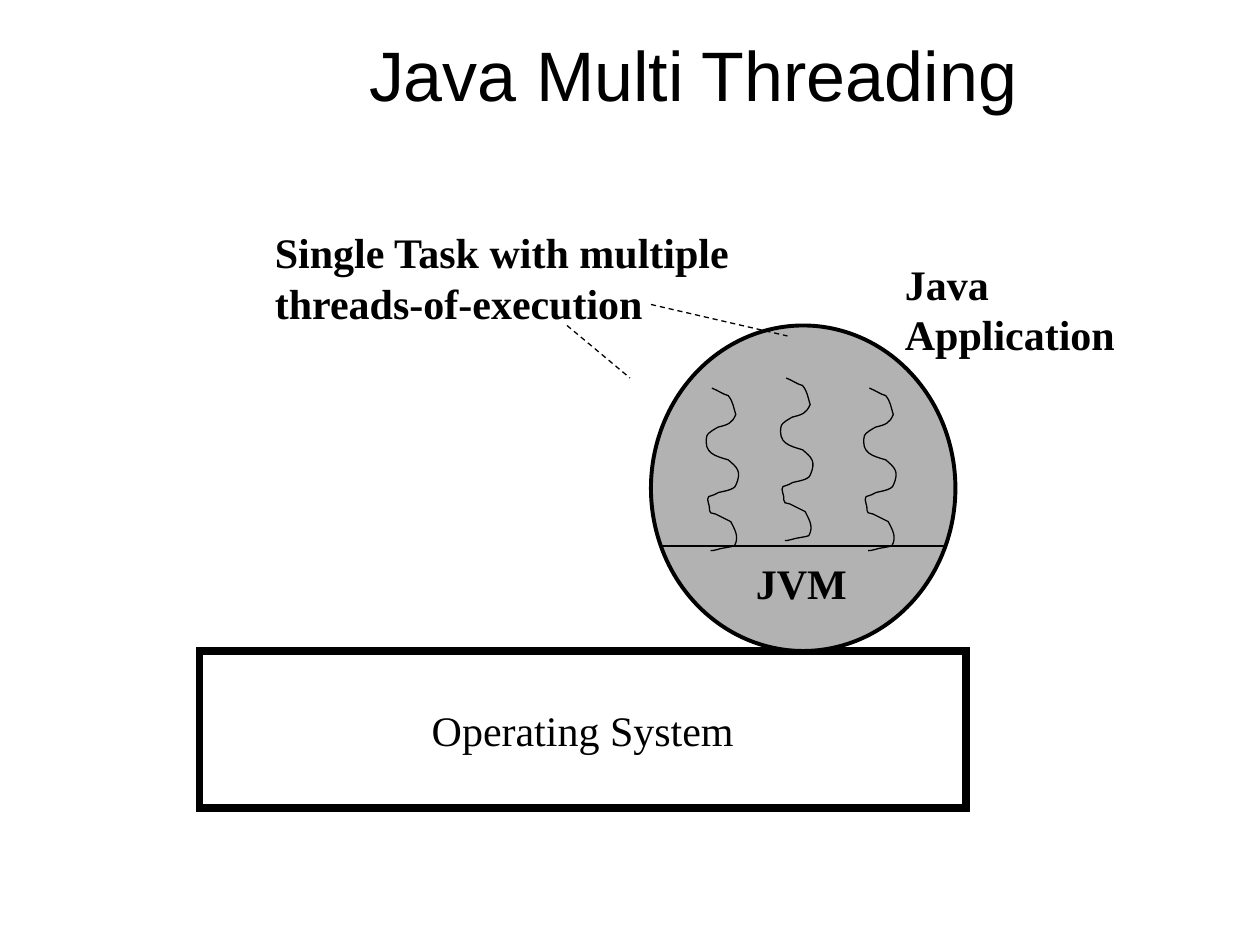
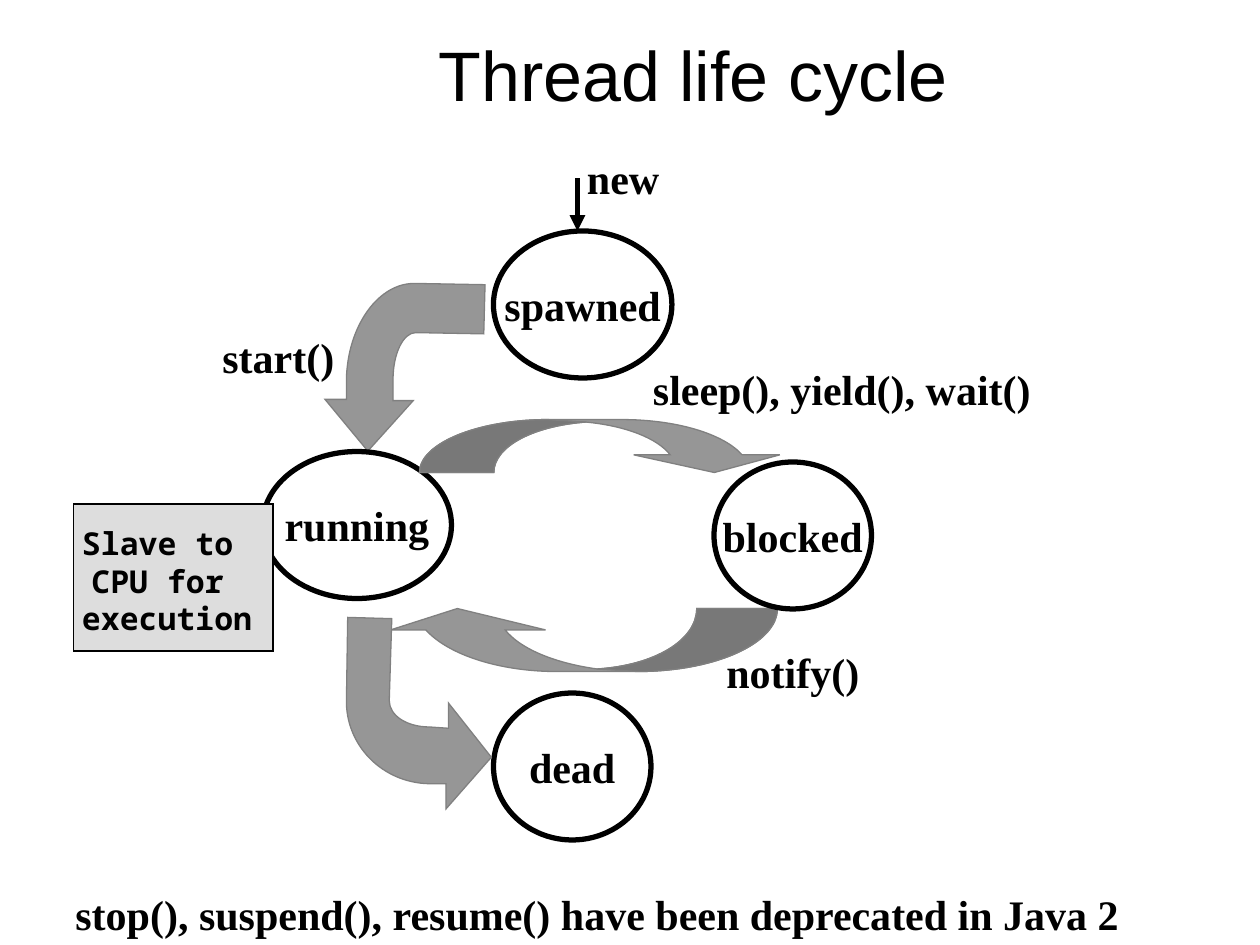
from dataclasses import dataclass

from lxml import etree
from pptx import Presentation
from pptx import util as u
from pptx.dml.color import RGBColor
from pptx.enum import dml, shapes, text
from pptx.oxml import ns


@dataclass(frozen=True)
class Theme:
    """Colours, fonts and type sizes shared by the slides."""
    ink: str = "000000"
    paper: str = "FFFFFF"
    process: str = "B2B2B2"
    note: str = "DDDDDD"
    arrow: str = "969696"
    arrow_edge: str = "808080"
    title_font: str = "Arial"
    body_font: str = "Times New Roman"
    note_font: str = "Noto Sans Mono"
    title_size: int = 40
    body_size: int = 24
    note_size: int = 18
    leading: float = 1.2


THEME = Theme()
CELL = u.Inches(1) / 12
COLUMNS, ROWS = 120, 90
INSETS = (0.1, 0.05, 0.1, 0.05)
TIGHT_INSETS = (0, 0.05, 0.1, 0)
RECTANGLE = shapes.MSO_SHAPE.RECTANGLE
OVAL = shapes.MSO_SHAPE.OVAL

THREAD = [
    (5.65, 3.08),
    (5.7, 3.1, 5.74, 3.13, 5.78, 3.14), (5.82, 3.19, 5.82, 3.23, 5.84, 3.29),
    (5.81, 3.36, 5.78, 3.37, 5.7, 3.39), (5.68, 3.4, 5.61, 3.44, 5.61, 3.46),
    (5.58, 3.6, 5.68, 3.62, 5.78, 3.65), (5.85, 3.71, 5.89, 3.74, 5.84, 3.85),
    (5.83, 3.89, 5.73, 3.9, 5.7, 3.91), (5.62, 3.96, 5.6, 3.91, 5.63, 4.02),
    (5.63, 4.04, 5.63, 4.06, 5.64, 4.07), (5.65, 4.08, 5.67, 4.07, 5.68, 4.08),
    (5.72, 4.1, 5.8, 4.14, 5.8, 4.14), (5.83, 4.2, 5.87, 4.26, 5.83, 4.33),
    (5.82, 4.34, 5.72, 4.35, 5.7, 4.36), (5.65, 4.37, 5.67, 4.37, 5.64, 4.37),
]
START_ARROW = [
    (3.85, 2.26), (3.3, 2.25), (3.01, 2.24, 2.76, 2.58, 2.75, 3.01),
    (2.75, 3.17), (2.58, 3.17), (2.92, 3.58), (3.28, 3.18), (3.12, 3.18),
    (3.12, 3.01), (3.12, 2.81, 3.2, 2.64, 3.3, 2.64), (3.84, 2.65),
]
DEATH_ARROW = [
    (2.76, 4.9), (2.75, 5.55), (2.74, 5.91, 3.03, 6.21, 3.4, 6.22),
    (3.54, 6.22), (3.54, 6.42), (3.9, 6.01), (3.56, 5.58), (3.56, 5.78),
    (3.41, 5.77), (3.23, 5.77, 3.09, 5.68, 3.09, 5.56), (3.11, 4.91),
]
NOTIFY_TAIL = [(6.17, 4.83), (6.17, 5.11, 5.67, 5.33, 5.06, 5.33)]
NOTIFY_HEAD = [
    (4.42, 5.33), (3.97, 5.33, 3.56, 5.2, 3.38, 5), (3.1, 5), (3.63, 4.83),
    (4.33, 5), (4.01, 5), (4.12, 5.14, 4.38, 5.26, 4.74, 5.31),
]
NOTIFY_INNER = (5.2, 5.28, 5.53, 5.08, 5.53, 4.83)
BLOCK_TAIL = [(3.33, 3.75), (3.33, 3.52, 3.79, 3.33, 4.35, 3.33)]
BLOCK_HEAD = [
    (4.94, 3.33), (5.36, 3.33, 5.74, 3.44, 5.89, 3.61), (6.19, 3.61),
    (5.67, 3.75), (5.03, 3.61), (5.32, 3.61),
    (5.22, 3.48, 4.97, 3.38, 4.65, 3.35),
]
BLOCK_INNER = (4.24, 3.38, 3.92, 3.54, 3.92, 3.75)


def cells(*counts):
    """Convert counts of grid cells to lengths."""
    return [u.Emu(round(count * CELL)) for count in counts]


def paint(shape, fill, line, width):
    """Set fill and outline, either of which may be None."""
    if fill:
        shape.fill.solid()
        shape.fill.fore_color.rgb = RGBColor.from_string(fill)
    else:
        shape.fill.background()
    if line:
        shape.line.color.rgb = RGBColor.from_string(line)
        shape.line.width = u.Pt(width)
        etree.SubElement(shape.line._get_or_add_ln(), ns.qn("a:miter"),
                         lim="800000")
    else:
        shape.line.fill.background()
    shape.shadow.inherit = False


def write(shape, words, size=THEME.body_size, font=THEME.body_font, bold=True,
          align=text.PP_ALIGN.LEFT, anchor=text.MSO_ANCHOR.TOP,
          insets=INSETS, wrap=False):
    """Fill a shape with formatted paragraphs."""
    frame = shape.text_frame
    frame.text = words
    frame.word_wrap = wrap
    frame.vertical_anchor = anchor
    (frame.margin_left, frame.margin_top,
     frame.margin_right, frame.margin_bottom) = map(u.Inches, insets)
    for paragraph in frame.paragraphs:
        paragraph.alignment = align
        paragraph.line_spacing = u.Pt(size * THEME.leading)
        paragraph.font.name = font
        paragraph.font.size = u.Pt(size)
        paragraph.font.bold = bold
        paragraph.font.color.rgb = RGBColor.from_string(THEME.ink)


def add_titled_slide(presentation, title):
    """Add a slide with the shared title style."""
    slide = presentation.slides.add_slide(presentation.slide_layouts[5])
    shape = slide.shapes.title
    shape.left, shape.top, shape.width, shape.height = cells(12, 3, 108, 8)
    write(shape, title, THEME.title_size, THEME.title_font, False,
          text.PP_ALIGN.CENTER, text.MSO_ANCHOR.MIDDLE, wrap=True)
    return slide


def add_box(slide, kind, place, fill, width, words="", **style):
    """Add a preset shape with centred text."""
    shape = slide.shapes.add_shape(kind, *cells(*place))
    paint(shape, fill, THEME.ink, width)
    if words:
        write(shape, words, align=text.PP_ALIGN.CENTER,
              anchor=text.MSO_ANCHOR.MIDDLE, **style)


def add_label(slide, place, words, fill=None, **style):
    """Add a bold text label."""
    shape = slide.shapes.add_textbox(*cells(*place))
    if fill:
        paint(shape, fill, None, 0)
    write(shape, words, **style)


def add_line(slide, ends, width, dashed=False, arrow=False):
    """Add a straight line, optionally dashed or with an arrowhead."""
    line = slide.shapes.add_connector(
        shapes.MSO_CONNECTOR.STRAIGHT, *cells(*ends))
    line.line.color.rgb = RGBColor.from_string(THEME.ink)
    line.line.width = u.Pt(width)
    if dashed:
        line.line.dash_style = dml.MSO_LINE.DASH
    if arrow:
        etree.SubElement(line.line._get_or_add_ln(), ns.qn("a:tailEnd"),
                         type="triangle")
    etree.SubElement(line._element.spPr, ns.qn("a:effectLst"))


def flatten(contour, shift):
    """List every vertex and control point of a contour as lengths."""
    return [(u.Inches(segment[i] + shift[0]), u.Inches(segment[i + 1] + shift[1]))
            for segment in contour for i in range(0, len(segment), 2)]


def curve(shape, contours, closed):
    """Give each contour its own path, with Béziers and darker later paths."""
    path = shape._element.find(".//" + ns.qn("a:path"))
    commands = iter(list(path))
    for index, contour in enumerate(contours):
        target = path
        if index:
            target = etree.SubElement(path.getparent(), ns.qn("a:path"),
                                      w=path.get("w"), h=path.get("h"),
                                      fill="darkenLess")
        target.append(next(commands))
        for segment in contour[1:]:
            lines = [next(commands) for _ in range(len(segment) // 2)]
            if len(lines) == 1:
                target.append(lines[0])
                continue
            bezier = etree.SubElement(target, ns.qn("a:cubicBezTo"))
            for line in lines:
                bezier.append(line[0])
                path.remove(line)
        if closed:
            target.append(next(commands))


def add_outline(slide, *contours, fill=None, line=THEME.ink, shift=(0, 0)):
    """Draw contours given in inches, closed when they have a fill."""
    closed = bool(fill)
    outlines = [flatten(contour, shift) for contour in contours]
    builder = slide.shapes.build_freeform(*outlines[0][0], scale=1.0)
    for index, points in enumerate(outlines):
        if index:
            builder.move_to(*points[0])
        builder.add_line_segments(points[1:], close=closed)
    shape = builder.convert_to_shape()
    curve(shape, contours, closed)
    paint(shape, fill, line, 0.75)


def add_arrow(slide, *contours):
    """Draw a grey block arrow."""
    add_outline(slide, *contours, fill=THEME.arrow, line=THEME.arrow_edge)


def add_ribbon(slide, tail, head, inner):
    """Draw a curved ribbon arrow with a darker tail."""
    add_arrow(slide, tail + head + [inner], tail + [head[-1][-2:], inner])


def build_threading(presentation):
    """Build the slide on threads inside one application."""
    slide = add_titled_slide(presentation, "Java Multi Threading")
    add_box(slide, RECTANGLE, (19, 62, 73, 15), THEME.paper, 4.5,
            "Operating System", bold=False)
    add_box(slide, OVAL, (62, 31, 29, 31), THEME.process, 2.25)
    add_line(slide, (63, 52, 90, 52), 0.75)
    add_label(slide, (70.8, 52.5, 11.5, 6), "JVM")
    for shift in ((0, 0), (0.59, -0.08), (1.25, 0)):
        add_outline(slide, THREAD, shift=shift)
    add_label(slide, (85, 24, 23, 10.8), "Java\nApplication")
    add_label(slide, (25, 21, 46.5, 10.8),
              "Single Task with multiple\nthreads-of-execution")
    for ends in ((62, 29, 75, 32), (54, 31, 60, 36)):
        add_line(slide, ends, 0.75, dashed=True)


def build_life_cycle(presentation):
    """Build the slide on the states of a thread."""
    slide = add_titled_slide(presentation, "Thread life cycle")
    add_ribbon(slide, NOTIFY_TAIL, NOTIFY_HEAD, NOTIFY_INNER)
    add_arrow(slide, START_ARROW)
    for left, top, width, state in ((25, 43, 18, "running"),
                                    (68, 44, 15, "blocked"),
                                    (47, 66, 15, "dead"),
                                    (47, 22, 17, "spawned")):
        add_box(slide, OVAL, (left, top, width, 14), THEME.paper, 3, state)
    add_ribbon(slide, BLOCK_TAIL, BLOCK_HEAD, BLOCK_INNER)
    add_arrow(slide, DEATH_ARROW)
    for place, call in (((68, 61, 15.5, 6), "notify()"),
                        ((20, 31, 13.5, 6), "start()"),
                        ((61, 34, 39, 6), "sleep(), yield(), wait()")):
        add_label(slide, place, call)
    add_line(slide, (55, 17, 55, 22), 3, arrow=True)
    add_label(slide, (55.9, 13.9, 8.5, 5.4), "new", THEME.paper,
              anchor=text.MSO_ANCHOR.BOTTOM, insets=TIGHT_INSETS)
    add_label(slide, (6, 84, 107, 6),
              "stop(), suspend(), resume() have been deprecated in Java 2",
              wrap=True)
    add_box(slide, RECTANGLE, (7, 48, 19, 14), THEME.note, 1,
            "Slave to \nCPU for \nexecution", size=THEME.note_size,
            font=THEME.note_font, insets=TIGHT_INSETS)


def main():
    """Build and save the presentation."""
    presentation = Presentation()
    presentation.slide_width, presentation.slide_height = cells(COLUMNS, ROWS)
    build_threading(presentation)
    build_life_cycle(presentation)
    presentation.save("out.pptx")


if __name__ == "__main__":
    main()
